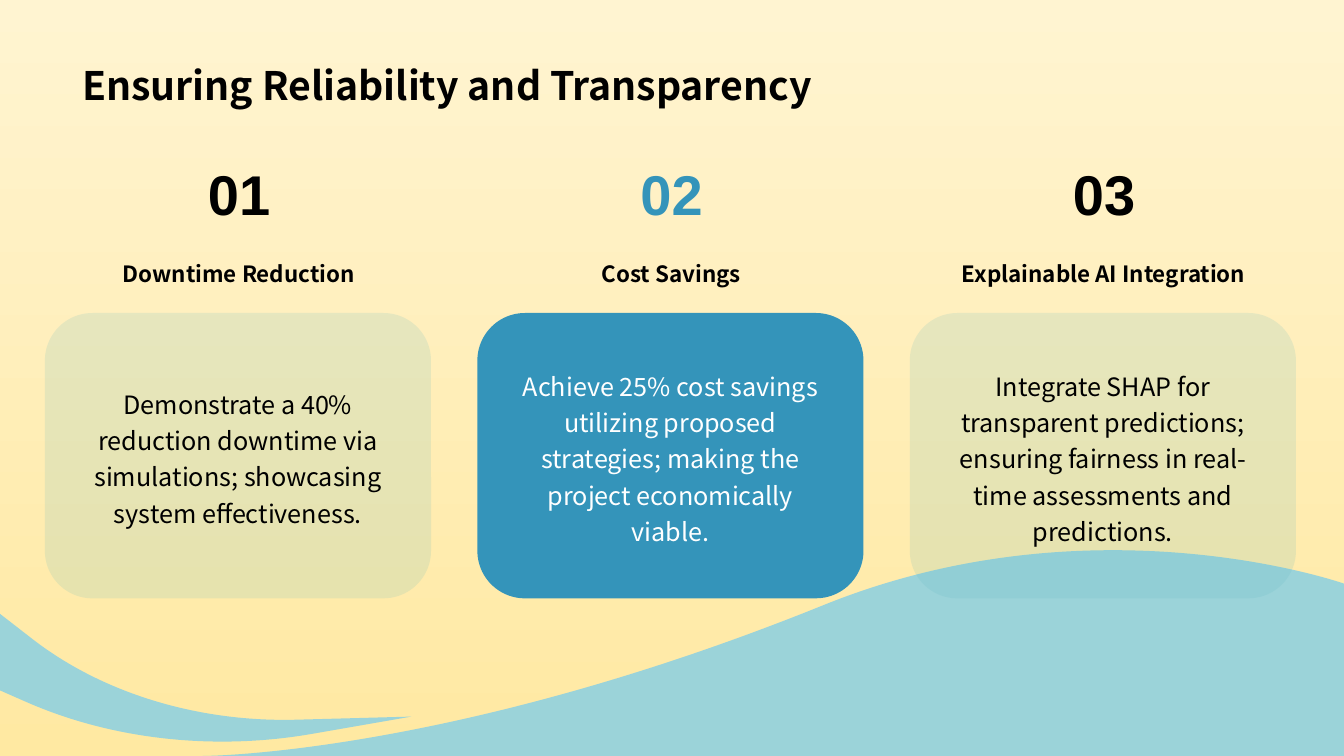
from lxml import etree
from pptx import Presentation
from pptx.dml.color import RGBColor
from pptx.enum.shapes import MSO_SHAPE
from pptx.enum.text import MSO_ANCHOR, PP_ALIGN
from pptx.oxml.ns import qn
from pptx.util import Pt

ROUNDED = MSO_SHAPE.ROUNDED_RECTANGLE
LEFT, CENTER = PP_ALIGN.LEFT, PP_ALIGN.CENTER
MIDDLE, BOTTOM = MSO_ANCHOR.MIDDLE, MSO_ANCHOR.BOTTOM

BLACK = RGBColor(0x00, 0x00, 0x00)
WHITE = RGBColor(0xFF, 0xFF, 0xFF)
BLUE = RGBColor(0x34, 0x94, 0xBA)
TEAL = RGBColor(0x58, 0xB6, 0xC0)
WATER = RGBColor(0x9B, 0xD3, 0xD9)
SAND = RGBColor(0xFF, 0xE9, 0xA2)
CREAM = RGBColor(0xFF, 0xF4, 0xD1)

SANS, NUMERAL = "Noto Sans CJK SC", "Arial"
WIDTH, HEIGHT = 960, 540
CARD_WIDTH, COLUMN_PITCH = 275.8, 308.9

WAVE = [
    [(444.2, 38.9)],
    [(637.2, -38.9), (815.3, 23.8), (815.3, 23.8)],
    [(815.3, 146.9)],
    [(0, 146.9)],
    [(0, 146.9), (177.1, 146.9), (444.2, 38.9)],
]
SWOOSH = [
    [(0, 0)],
    [(22.3, 17.3)],
    [(72, 56.2), (141.1, 77.8), (213.1, 75.6)],
    [(293.8, 73.4)],
    [(223.2, 85.7)],
    [(153.4, 97.9), (79.9, 90), (18, 62.6)],
    [(0, 54.7)],
    [(0, 0)],
]
COLUMNS = [
    ("01", "Downtime Reduction",
     "Demonstrate a 40% reduction downtime via simulations; "
     "showcasing system effectiveness.", False),
    ("02", "Cost Savings",
     "Achieve 25% cost savings utilizing proposed strategies; "
     "making the project economically viable.", True),
    ("03", "Explainable AI Integration",
     "Integrate SHAP for transparent predictions; ensuring fairness "
     "in real-time assessments and predictions.", False),
]


def write_text(s, text, size=18, font=SANS, color=BLACK, bold=False,
               align=CENTER, anchor=BOTTOM, wrap=True, spacing=None):
    """Fill a shape with one formatted paragraph."""
    tf = s.text_frame
    tf.word_wrap = wrap
    tf.vertical_anchor = anchor
    p = tf.paragraphs[0]
    p.alignment = align
    if spacing:
        p.line_spacing = spacing
    r = p.add_run()
    r.text = text
    r.font.size = Pt(size)
    r.font.name = font
    r.font.bold = bold
    r.font.color.rgb = color
    etree.SubElement(r.font._element, qn("a:ea"), typeface=font)


def add_text(slide, box, text, **fmt):
    """Add a text box at the given box in points."""
    s = slide.shapes.add_textbox(*(Pt(v) for v in box))
    write_text(s, text, **fmt)


def paint(s, color, opacity=100):
    """Give a shape a flat fill with no outline or shadow."""
    s.shadow.inherit = False
    s.line.fill.background()
    s.fill.solid()
    s.fill.fore_color.rgb = color
    if opacity < 100:
        clr = s._element.spPr.find(".//" + qn("a:srgbClr"))
        etree.SubElement(clr, qn("a:alpha"), val=str(opacity * 1000))


def add_water(slide, box, segments):
    """Draw a closed outline of lines and curves in a box."""
    left, top, width, height = (Pt(v) for v in box)
    fb = slide.shapes.build_freeform(0, 0)
    fb.add_line_segments([(width, 0), (width, height)], close=True)
    s = fb.convert_to_shape(left, top)
    outline = s._element.spPr.find(".//" + qn("a:path"))
    for child in list(outline):
        outline.remove(child)
    for i, seg in enumerate(segments):
        tag = "a:cubicBezTo" if len(seg) == 3 else "a:lnTo" if i else "a:moveTo"
        step = etree.SubElement(outline, qn(tag))
        for x, y in seg:
            etree.SubElement(step, qn("a:pt"), x=str(int(Pt(x))), y=str(int(Pt(y))))
    etree.SubElement(outline, qn("a:close"))
    paint(s, WATER)


def add_background(slide):
    """Set the vertical gradient and the water along the bottom."""
    fill = slide.background.fill
    fill.gradient()
    fill.gradient_angle = 90
    for stop, color, position in zip(fill.gradient_stops, (SAND, CREAM), (0, 1)):
        stop.color.rgb = color
        stop.position = position
    add_water(slide, (144.7, 393.1, 815.3, 146.9), WAVE)
    add_water(slide, (0, 438.5, 293.8, 91.4), SWOOSH)


def add_column(slide, left, top, width, number, label, body, accent):
    """Stack a number, a label and a rounded card."""
    s = slide.shapes.add_shape(
        ROUNDED, Pt(left), Pt(top + 113.8), Pt(width), Pt(203.8))
    paint(s, BLUE if accent else TEAL, 100 if accent else 15)
    s.text_frame.margin_left = s.text_frame.margin_right = Pt(14.4)
    write_text(s, body, color=WHITE if accent else BLACK,
               anchor=MIDDLE, spacing=1.2)
    add_text(slide, (left + 108.8, top, 59.8, 55.4), number,
             size=40, font=NUMERAL, bold=True, wrap=False,
             color=BLUE if accent else BLACK)
    add_text(slide, (left + 26.2, top + 72, 224.6, 26.6), label,
             size=16, bold=True)


def main():
    """Build and save the slide."""
    prs = Presentation()
    prs.slide_width, prs.slide_height = Pt(WIDTH), Pt(HEIGHT)
    slide = prs.slides.add_slide(prs.slide_layouts[6])
    add_background(slide)
    for i, column in enumerate(COLUMNS):
        add_column(slide, 32.1 + i * COLUMN_PITCH, 109.8, CARD_WIDTH, *column)
    add_text(slide, (51.8, 10.1, 855.4, 70.6),
             "Ensuring Reliability and Transparency",
             size=28, bold=True, align=LEFT)
    prs.save("out.pptx")


if __name__ == "__main__":
    main()
